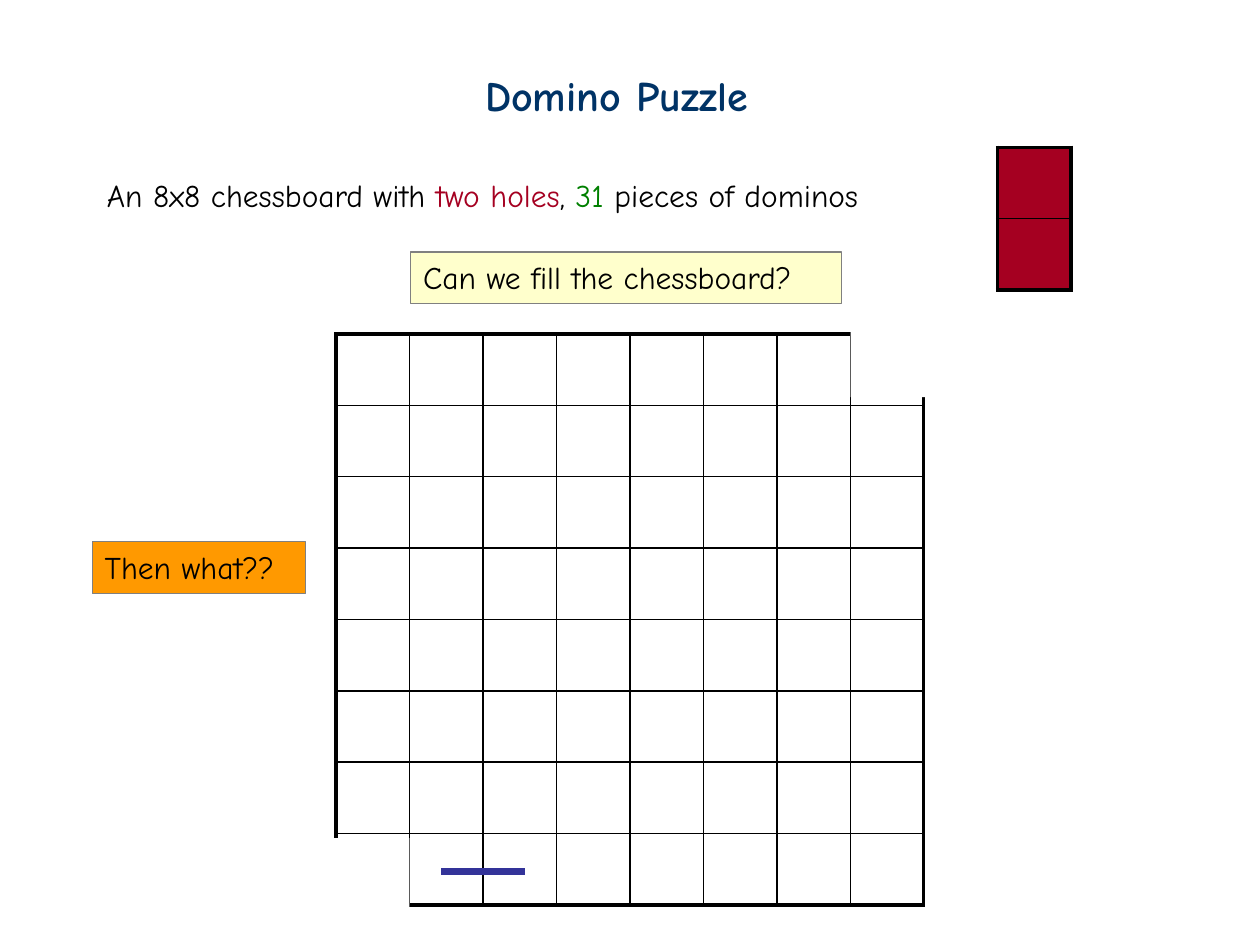
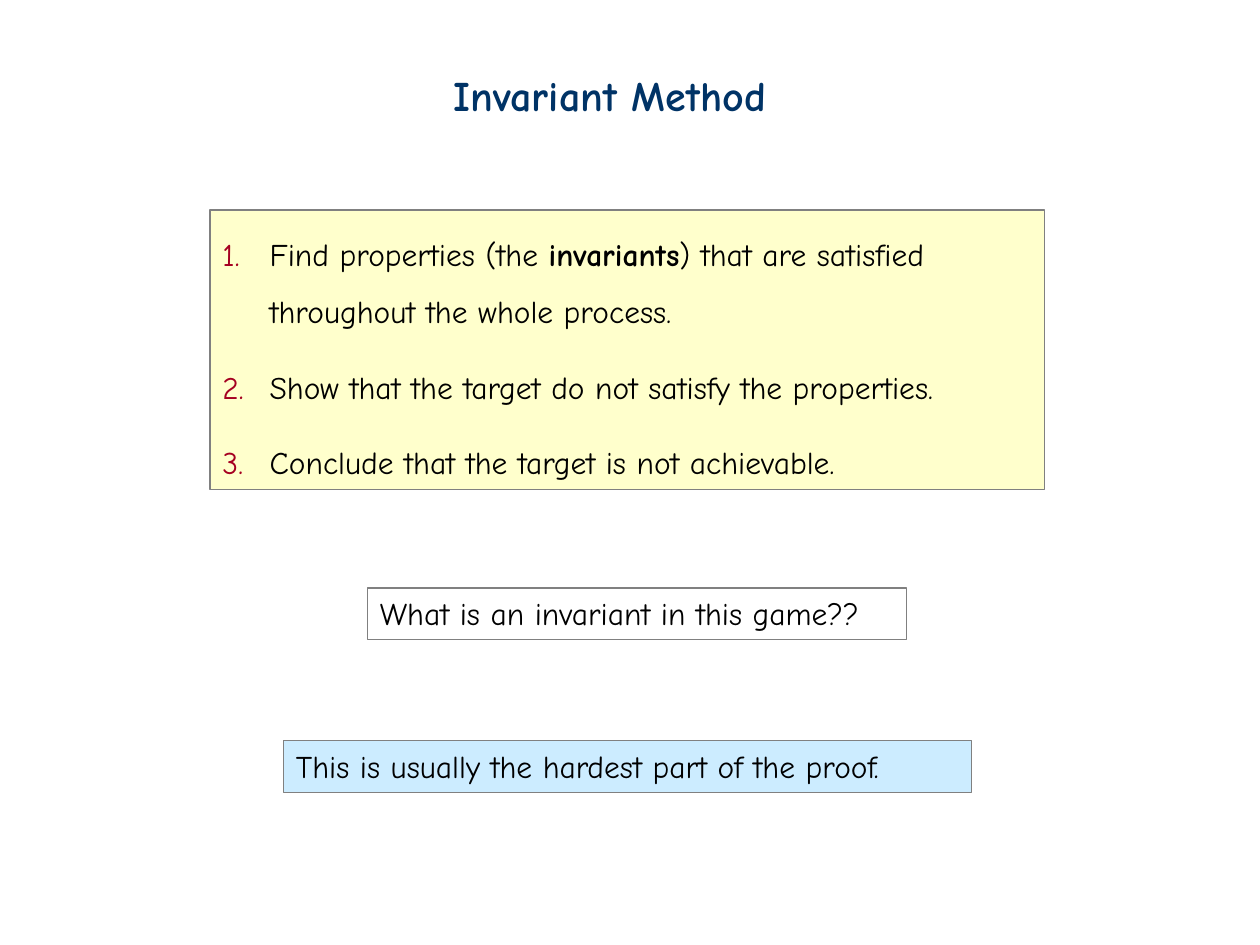
import lxml.etree
import pptx
import pptx.dml.color
import pptx.enum.shapes
import pptx.enum.text
import pptx.oxml.ns
import pptx.util

Pt = pptx.util.Pt
RGBColor = pptx.dml.color.RGBColor
qn = pptx.oxml.ns.qn

FONT = "Comic Neue"
BLACK = RGBColor(0x00, 0x00, 0x00)
WHITE = RGBColor(0xFF, 0xFF, 0xFF)
NAVY = RGBColor(0x00, 0x33, 0x66)
CRIMSON = RGBColor(0xA5, 0x00, 0x21)
GREEN = RGBColor(0x00, 0x80, 0x00)
GRAY = RGBColor(0x80, 0x80, 0x80)
CREAM = RGBColor(0xFF, 0xFF, 0xCC)
ORANGE = RGBColor(0xFF, 0x99, 0x00)
SKY = RGBColor(0xCC, 0xEC, 0xFF)
INDIGO = RGBColor(0x33, 0x33, 0x99)

TITLE_TOP, TITLE_HEIGHT = 36, 36
CALLOUT_HEIGHT = 29.5
CELL_WIDTH, CELL_HEIGHT = 42, 40.8
THICK, THIN = 2.25, 1


def add_run(paragraph, text, size=18, color=BLACK, bold=False):
    run = paragraph.add_run()
    run.text = text
    run.font.name = FONT
    run.font.size = Pt(size)
    run.font.bold = bold
    run.font.color.rgb = color


def prepare_frame(shape):
    frame = shape.text_frame
    frame.word_wrap = True
    frame.auto_size = pptx.enum.text.MSO_AUTO_SIZE.NONE
    frame.vertical_anchor = pptx.enum.text.MSO_ANCHOR.TOP
    frame.paragraphs[0].alignment = pptx.enum.text.PP_ALIGN.LEFT
    return frame


def add_titled_slide(presentation, title, left, width):
    slide = presentation.slides.add_slide(presentation.slide_layouts[5])
    shape = slide.shapes.title
    shape.left, shape.top = Pt(left), Pt(TITLE_TOP)
    shape.width, shape.height = Pt(width), Pt(TITLE_HEIGHT)
    frame = prepare_frame(shape)
    add_run(frame.paragraphs[0], title, size=24, color=NAVY, bold=True)
    return slide


def add_rectangle(slide, left, top, width, height, fill=None, line=None):
    shape = slide.shapes.add_shape(
        pptx.enum.shapes.MSO_SHAPE.RECTANGLE, Pt(left), Pt(top), Pt(width), Pt(height))
    shape.shadow.inherit = False
    if fill is None:
        shape.fill.background()
    else:
        shape.fill.solid()
        shape.fill.fore_color.rgb = fill
    if line is None:
        shape.line.fill.background()
    else:
        shape.line.color.rgb = line
        shape.line.width = Pt(0.75)
    return shape


def add_callout(slide, text, left, top, width, fill=None):
    shape = add_rectangle(slide, left, top, width, CALLOUT_HEIGHT, fill, GRAY)
    add_run(prepare_frame(shape).paragraphs[0], text)


def add_sentence(slide, left, top, width, height, runs):
    box = slide.shapes.add_textbox(Pt(left), Pt(top), Pt(width), Pt(height))
    paragraph = prepare_frame(box).paragraphs[0]
    for text, color in runs:
        add_run(paragraph, text, color=color)


def set_border(cell, side, width):
    properties = cell._tc.get_or_add_tcPr()
    line = lxml.etree.SubElement(properties, qn(f"a:ln{side}"), w=str(Pt(width)))
    fill = lxml.etree.SubElement(line, qn("a:solidFill"))
    lxml.etree.SubElement(fill, qn("a:srgbClr"), val=str(BLACK))


def add_grid(slide, left, top, rows, columns, fill=None):
    table = slide.shapes.add_table(
        rows, columns, Pt(left), Pt(top),
        Pt(columns * CELL_WIDTH), Pt(rows * CELL_HEIGHT)).table
    table.first_row = False
    table.horz_banding = False
    for row in range(rows):
        for column in range(columns):
            cell = table.cell(row, column)
            outer_sides = {"L": column == 0, "R": column == columns - 1,
                           "T": row == 0, "B": row == rows - 1}
            for side, is_outer in outer_sides.items():
                set_border(cell, side, THICK if is_outer else THIN)
            if fill is None:
                cell.fill.background()
            else:
                cell.fill.solid()
                cell.fill.fore_color.rgb = fill


def add_line(slide, left, right, y, color, width):
    connector = slide.shapes.add_connector(
        pptx.enum.shapes.MSO_CONNECTOR.STRAIGHT, Pt(left), Pt(y), Pt(right), Pt(y))
    connector.line.color.rgb = color
    connector.line.width = Pt(width)
    lxml.etree.SubElement(connector._element.spPr, qn("a:effectLst"))


def number_paragraph(paragraph, color, indent):
    properties = paragraph._p.get_or_add_pPr()
    properties.set("marL", str(Pt(indent)))
    properties.set("indent", str(-Pt(indent)))
    bullet_color = lxml.etree.SubElement(properties, qn("a:buClr"))
    lxml.etree.SubElement(bullet_color, qn("a:srgbClr"), val=str(color))
    lxml.etree.SubElement(properties, qn("a:buFont"), typeface=FONT)
    lxml.etree.SubElement(properties, qn("a:buAutoNum"), type="arabicPeriod")


def add_numbered_steps(slide, left, top, width, height, steps):
    frame = prepare_frame(add_rectangle(slide, left, top, width, height, CREAM, GRAY))
    for index, step in enumerate(steps):
        paragraph = frame.add_paragraph() if index else frame.paragraphs[0]
        paragraph.alignment = pptx.enum.text.PP_ALIGN.LEFT
        number_paragraph(paragraph, CRIMSON, 27)
        if index:
            paragraph.space_before = Pt(21.7)
        else:
            paragraph.line_spacing = 1.5
        for text, bold in step:
            add_run(paragraph, text, bold=bold)


def build_domino_slide(presentation):
    slide = add_titled_slide(presentation, "Domino Puzzle", 270, 176.5)
    add_sentence(slide, 54, 97.2, 485, 29, [
        ("An 8x8 chessboard with ", BLACK),
        ("two holes", CRIMSON),
        (", ", BLACK),
        ("31", GREEN),
        (" pieces of dominos", BLACK),
    ])
    add_grid(slide, 570, 84.2, 2, 1, CRIMSON)
    add_grid(slide, 192, 190.8, 8, 8)
    add_callout(slide, "Can we fill the chessboard?", 234.7, 144, 246.2, CREAM)
    for hole_left, hole_top in ((186, 479), (486, 185)):
        add_rectangle(slide, hole_left, hole_top, 48, 42, WHITE)
    add_callout(slide, "Then what??", 52.7, 309.6, 121.8, ORANGE)
    add_line(slide, 252, 300, 498, INDIGO, 4.5)


def build_invariant_slide(presentation):
    slide = add_titled_slide(presentation, "Invariant Method", 252, 217.5)
    add_numbered_steps(slide, 120, 120, 476.8, 159.6, [
        [("Find properties (the ", False), ("invariants", True),
         (") that are satisfied throughout the whole process.", False)],
        [("Show that the target do not satisfy the properties.", False)],
        [("Conclude that the target is not achievable.", False)],
    ])
    add_callout(slide, "What is an invariant in this game??", 210, 336, 308.2)
    add_callout(slide, "This is usually the hardest part of the proof.", 162, 423.2, 393.2, SKY)


def main():
    presentation = pptx.Presentation()
    presentation.slide_width = Pt(720)
    presentation.slide_height = Pt(540)
    build_domino_slide(presentation)
    build_invariant_slide(presentation)
    presentation.save("out.pptx")


if __name__ == "__main__":
    main()
